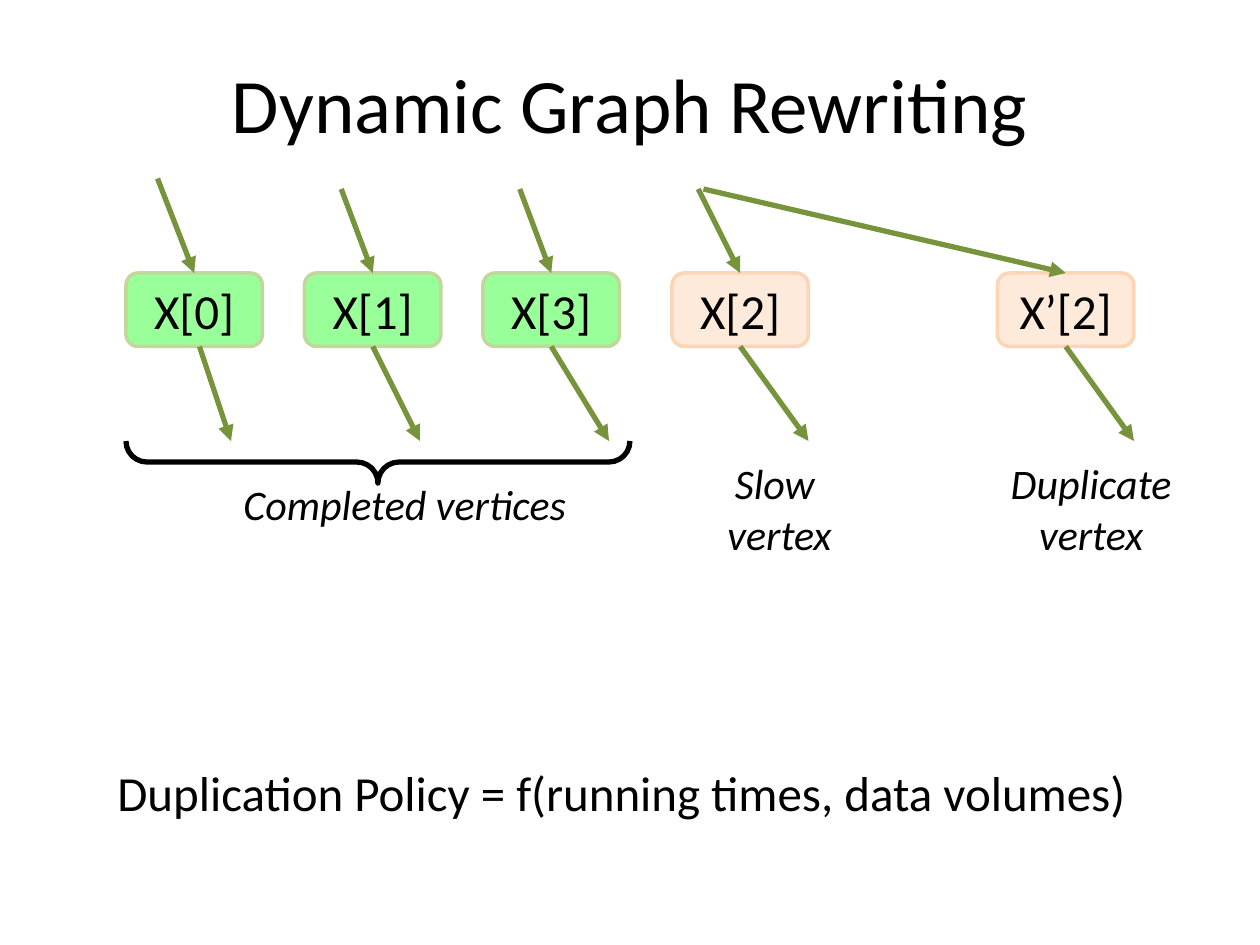
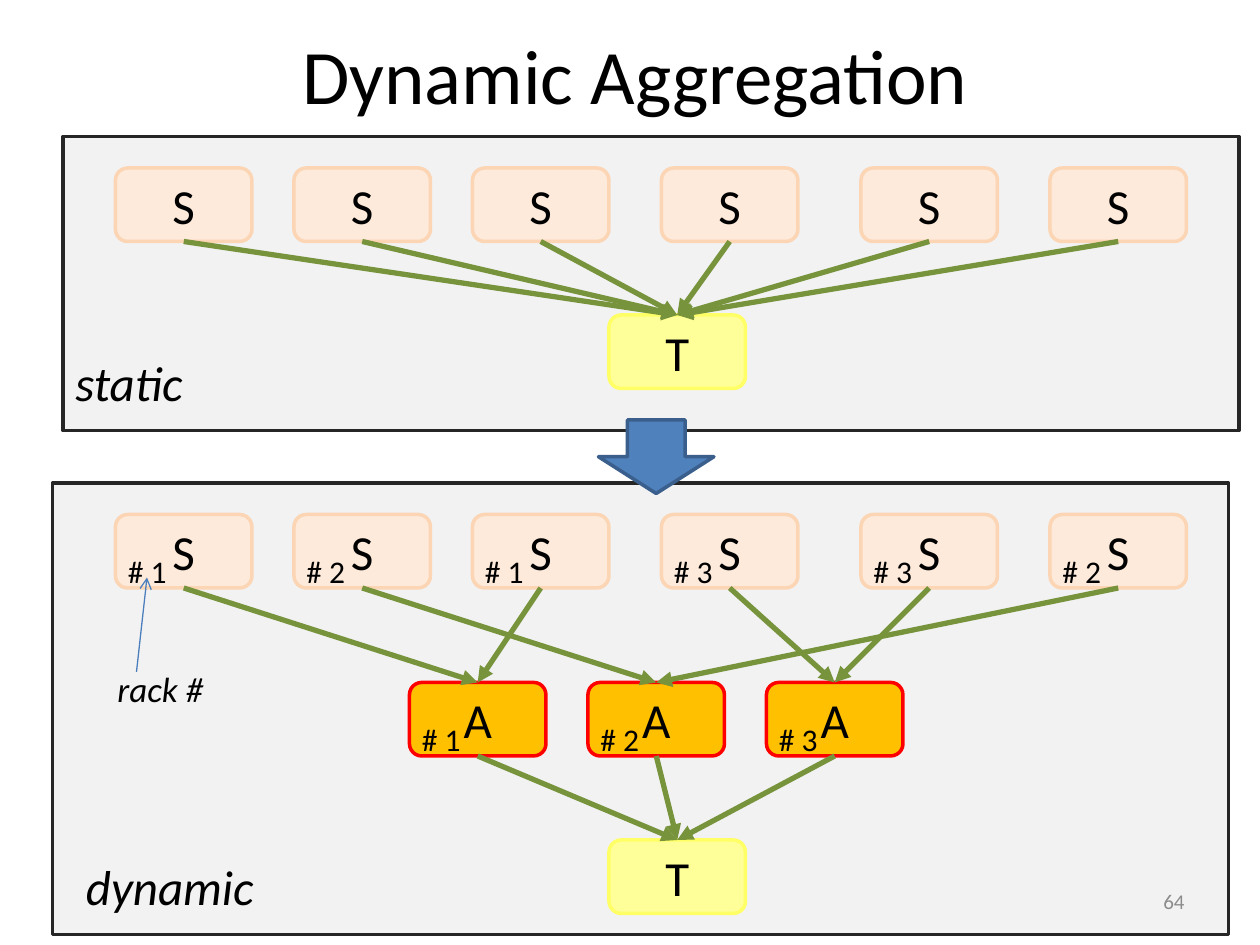
from dataclasses import dataclass

import lxml.etree
import pptx
import pptx.dml.color
import pptx.enum.shapes
import pptx.enum.text
import pptx.oxml.ns
import pptx.presentation
import pptx.shapes.autoshape
import pptx.slide
import pptx.text.text
import pptx.util

SHAPE = pptx.enum.shapes.MSO_SHAPE
ALIGN = pptx.enum.text.PP_ALIGN
MIDDLE = pptx.enum.text.MSO_ANCHOR.MIDDLE

FONT = "Calibri"
BLACK = "000000"
EDGE_GREEN = "77933C"
VERTEX_WIDTH, VERTEX_HEIGHT = 78, 42


@dataclass(frozen=True)
class Box:
    left: float
    top: float
    width: float
    height: float

    def lengths(self) -> list[pptx.util.Length]:
        return [pptx.util.Pt(value) for value in (self.left, self.top, self.width, self.height)]


@dataclass(frozen=True)
class Style:
    fill: str | None
    line: str
    line_width: float = 2


@dataclass(frozen=True)
class Vertex:
    label: str
    left: float
    top: float
    style: Style
    rack: int | None = None

    @property
    def center(self) -> float:
        return self.left + VERTEX_WIDTH / 2

    @property
    def entry(self) -> tuple[float, float]:
        return self.center, self.top

    @property
    def exit(self) -> tuple[float, float]:
        return self.center, self.top + VERTEX_HEIGHT


@dataclass(frozen=True)
class Label:
    text: str
    box: Box
    size: float = 28
    italic: bool = False
    align: pptx.enum.text.PP_ALIGN = ALIGN.LEFT
    wrap: bool = False
    centered: bool = False
    color: str = BLACK


COMPLETED = Style("99FF99", "C3D69B")
SOURCE = Style("FDEADA", "FCD5B5")
AGGREGATOR = Style("FFC000", "FF0000")
TARGET = Style("FFFF99", "FFFF66")
PANEL = Style("F2F2F2", "262626")
TRANSITION = Style("4F81BD", "3A5F8C")
BRACE = Style(None, BLACK, 3)


def rgb(value: str) -> pptx.dml.color.RGBColor:
    return pptx.dml.color.RGBColor.from_string(value)


def write_text(text_frame: pptx.text.text.TextFrame, text: str, size: float,
               align: pptx.enum.text.PP_ALIGN, italic: bool = False, color: str = BLACK) -> None:
    paragraph = text_frame.paragraphs[0]
    paragraph.text = text
    paragraph.alignment = align
    for run in paragraph.runs:
        run.font.name = FONT
        run.font.size = pptx.util.Pt(size)
        run.font.italic = italic
        run.font.color.rgb = rgb(color)


def add_label(slide: pptx.slide.Slide, label: Label) -> None:
    text_frame = slide.shapes.add_textbox(*label.box.lengths()).text_frame
    text_frame.word_wrap = label.wrap
    if label.centered:
        text_frame.vertical_anchor = MIDDLE
    write_text(text_frame, label.text, label.size, label.align, label.italic, label.color)


def add_title(slide: pptx.slide.Slide, text: str, box: Box) -> None:
    add_label(slide, Label(text, box, 44, align=ALIGN.CENTER, wrap=True, centered=True))


def add_figure(slide: pptx.slide.Slide, kind: pptx.enum.shapes.MSO_SHAPE, box: Box,
               style: Style) -> pptx.shapes.autoshape.Shape:
    shape = slide.shapes.add_shape(kind, *box.lengths())
    shape.shadow.inherit = False
    if style.fill:
        shape.fill.solid()
        shape.fill.fore_color.rgb = rgb(style.fill)
    else:
        shape.fill.background()
    shape.line.color.rgb = rgb(style.line)
    shape.line.width = pptx.util.Pt(style.line_width)
    return shape


def add_vertex(slide: pptx.slide.Slide, vertex: Vertex) -> None:
    box = Box(vertex.left, vertex.top, VERTEX_WIDTH, VERTEX_HEIGHT)
    shape = add_figure(slide, SHAPE.ROUNDED_RECTANGLE, box, vertex.style)
    shape.text_frame.vertical_anchor = MIDDLE
    write_text(shape.text_frame, vertex.label, 28, ALIGN.CENTER)


def add_rack_number(slide: pptx.slide.Slide, vertex: Vertex) -> None:
    box = Box(vertex.left, vertex.top + 18, 42, 29)
    add_label(slide, Label(f"# {vertex.rack}", box, 18, wrap=True))


def add_arrow(slide: pptx.slide.Slide, start: tuple[float, float], end: tuple[float, float],
              color: str = EDGE_GREEN, width: float = 3, head: str = "triangle") -> None:
    connector = slide.shapes.add_connector(
        pptx.enum.shapes.MSO_CONNECTOR.STRAIGHT,
        *(pptx.util.Pt(value) for value in (*start, *end)))
    connector.line.color.rgb = rgb(color)
    connector.line.width = pptx.util.Pt(width)
    qn = pptx.oxml.ns.qn
    properties = connector.element.spPr
    lxml.etree.SubElement(properties.find(qn("a:ln")), qn("a:tailEnd"), type=head)
    lxml.etree.SubElement(properties, qn("a:effectLst"))


def build_rewriting(slide: pptx.slide.Slide) -> None:
    # Vertices, each with the start of its input and the end of its output
    top, output_bottom = 156, 252
    flows = [
        (Vertex("X[0]", 72, top, COMPLETED), (90, 102), 132),
        (Vertex("X[1]", 174, top, COMPLETED), (195, 108), 240),
        (Vertex("X[3]", 276, top, COMPLETED), (297, 108), 348),
        (Vertex("X[2]", 384, top, SOURCE), (399, 108), 462),
        (Vertex("X’[2]", 570, top, SOURCE), (402, 108), 648),
    ]
    for vertex, input_start, output_end in flows:
        add_vertex(slide, vertex)
        add_arrow(slide, input_start, vertex.entry)
        # The first output leaves slightly right of the vertex centre
        x, y = vertex.exit
        shift = 3 if vertex.label == "X[0]" else 0
        add_arrow(slide, (x + shift, y), (output_end, output_bottom))

    # Brace under the completed vertices
    brace = add_figure(slide, SHAPE.LEFT_BRACE, Box(204, 120, 24, 288), BRACE)
    brace.rotation = 270
    brace.adjustments[0] = 0.5
    brace.adjustments[1] = 0.5

    # Title and captions
    add_title(slide, "Dynamic Graph Rewriting", Box(36, 21.6, 648, 74))
    for label in (
        Label("Completed vertices", Box(132, 270, 201, 36), 24, True),
        Label("Slow \nvertex", Box(408, 258, 75, 65.5), 24, True, ALIGN.CENTER),
        Label("Duplicate\nvertex", Box(570, 258, 107, 65.5), 24, True, ALIGN.CENTER),
        Label("Duplication Policy = f(running times, data volumes)", Box(60, 432, 598, 41)),
    ):
        add_label(slide, label)


def build_aggregation(slide: pptx.slide.Slide) -> None:
    source_racks = {66: 1, 168: 2, 270: 1, 378: 3, 492: 3, 600: 2}
    static_sources = [Vertex("S", left, 96, SOURCE) for left in source_racks]
    dynamic_sources = [Vertex("S", left, 294, SOURCE, rack) for left, rack in source_racks.items()]
    aggregators = {rack: Vertex("A", 132 + 102 * rack, 390, AGGREGATOR, rack) for rack in (1, 2, 3)}
    static_target, dynamic_target = (Vertex("T", 348, top, TARGET) for top in (180, 480))
    racked = [*dynamic_sources, *aggregators.values()]

    # Panels
    add_figure(slide, SHAPE.RECTANGLE, Box(30, 276, 672, 258), PANEL)
    add_figure(slide, SHAPE.RECTANGLE, Box(36, 78, 672, 168), PANEL)

    # Vertices and edges
    for vertex in (*static_sources, static_target, *racked, dynamic_target):
        add_vertex(slide, vertex)
    edges = [(source, static_target) for source in static_sources]
    edges += [(source, aggregators[source.rack]) for source in dynamic_sources]
    edges += [(aggregator, dynamic_target) for aggregator in aggregators.values()]
    for start, end in edges:
        add_arrow(slide, start.exit, end.entry)
    for vertex in racked:
        add_rack_number(slide, vertex)

    # Transition from static to dynamic
    add_figure(slide, SHAPE.DOWN_ARROW, Box(342, 240, 66, 42), TRANSITION)

    # Title, captions and page number
    add_title(slide, "Dynamic Aggregation", Box(30, 12, 666, 60))
    for label in (
        Label("static", Box(36, 198, 76, 41), italic=True),
        Label("dynamic", Box(42, 486, 111, 41), italic=True),
        Label("rack #", Box(60, 378, 64, 31.5), 20, True),
        Label("64", Box(516, 500.4, 168, 28.8), 12, align=ALIGN.RIGHT, wrap=True,
              centered=True, color="8C8C8C"),
    ):
        add_label(slide, label)
    add_arrow(slide, (78, 384), (84, 330), "4B7EBC", 0.75, "arrow")


def main() -> None:
    presentation = pptx.Presentation()
    presentation.slide_width = pptx.util.Pt(720)
    presentation.slide_height = pptx.util.Pt(540)
    blank = presentation.slide_layouts[6]
    for build in (build_rewriting, build_aggregation):
        build(presentation.slides.add_slide(blank))
    presentation.save("out.pptx")


if __name__ == "__main__":
    main()
